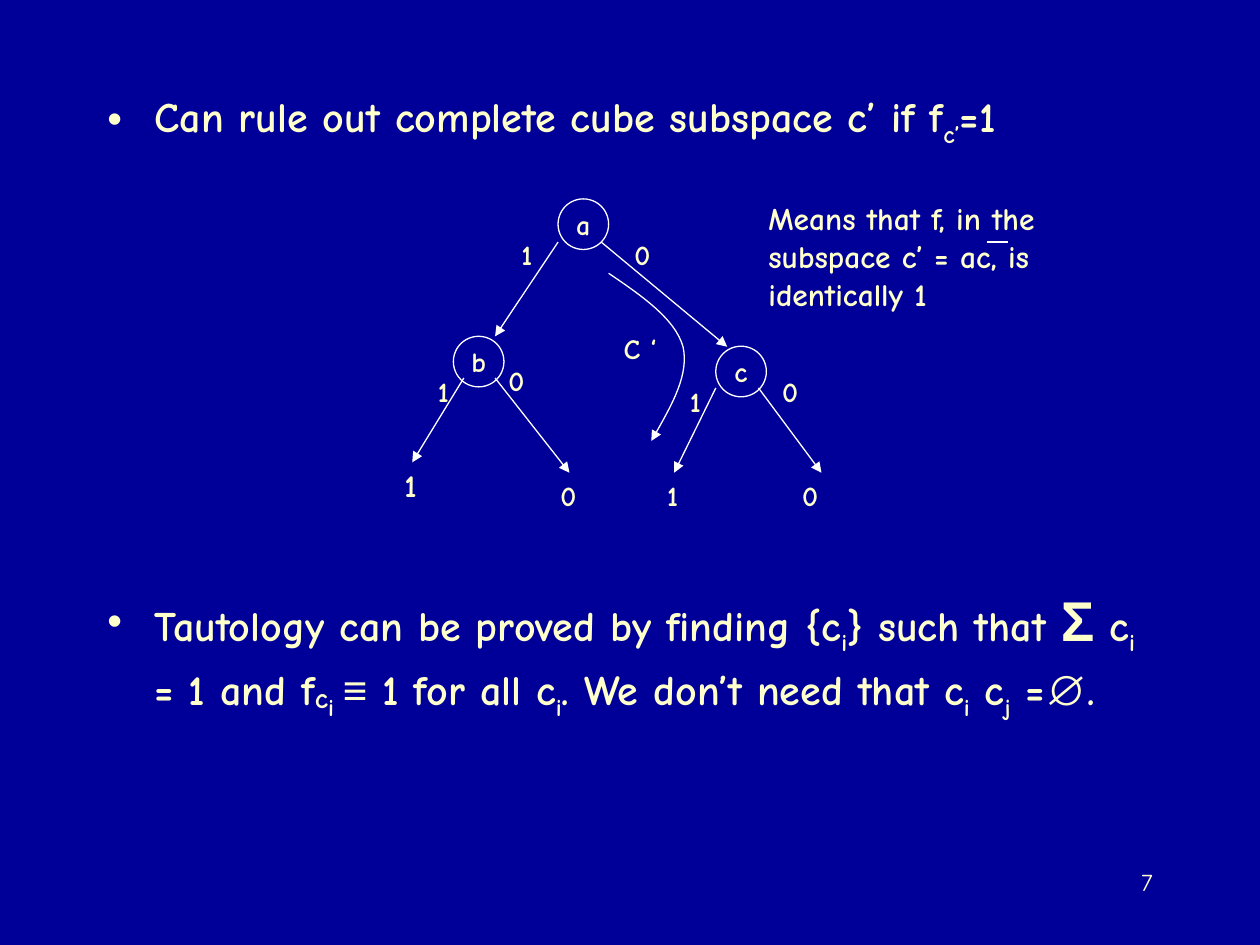
from dataclasses import dataclass

from lxml.etree import SubElement
from pptx import Presentation
from pptx.dml.color import RGBColor
from pptx.enum.shapes import MSO_CONNECTOR, MSO_SHAPE
from pptx.enum.text import MSO_ANCHOR, MSO_AUTO_SIZE, PP_ALIGN
from pptx.oxml.ns import qn
from pptx.util import Cm, Pt


@dataclass(frozen=True)
class Theme:
    background: RGBColor = RGBColor(0x00, 0x00, 0x99)
    text: RGBColor = RGBColor(0xFF, 0xFF, 0xCC)
    line: RGBColor = RGBColor(0xFF, 0xFF, 0xFF)
    font: str = "Comic Neue"
    symbol_font: str = "Arial"
    body_size: int = 24
    sum_size: int = 32
    index_size: int = 28
    note_size: int = 18
    label_size: int = 16
    number_size: int = 14
    line_width: float = 0.75


class SlideBuilder:
    def __init__(self, slide, theme):
        self.slide = slide
        self.theme = theme
        slide.background.fill.solid()
        slide.background.fill.fore_color.rgb = theme.background

    def run(self, paragraph, text, size, font=None, baseline=0, bold=True):
        run = paragraph.add_run()
        run.text = text
        run.font.name = font or self.theme.font
        run.font.size = Pt(size)
        run.font.bold = bold
        run.font.color.rgb = self.theme.text
        if baseline:
            run._r.get_or_add_rPr().set("baseline", str(baseline * 1000))

    def bullets(self, placeholder, box, items):
        """Fill the body with (space before, runs) items."""
        placeholder.left, placeholder.top, placeholder.width, placeholder.height = map(Cm, box)
        frame = placeholder.text_frame
        frame.auto_size = MSO_AUTO_SIZE.NONE
        for index, (space, runs) in enumerate(items):
            paragraph = frame.add_paragraph() if index else frame.paragraphs[0]
            paragraph.space_before = Pt(space)
            properties = paragraph._p.get_or_add_pPr()
            properties.set("marL", str(Cm(0.95)))
            properties.set("indent", str(-Cm(0.95)))
            for text, options in runs:
                self.run(paragraph, text, **{"size": self.theme.body_size, **options})

    def text(self, box, text, size, align=PP_ALIGN.LEFT, anchor=MSO_ANCHOR.MIDDLE, bold=True):
        shape = self.slide.shapes.add_textbox(*map(Cm, box))
        frame = shape.text_frame
        frame.word_wrap = True
        frame.vertical_anchor = anchor
        frame.paragraphs[0].alignment = align
        self.run(frame.paragraphs[0], text, size, bold=bold)
        return shape

    def label(self, x, y, text, size=None):
        """Place a short text centred on a point."""
        width, height = 1.2, 0.94
        shape = self.text((x - width / 2, y - height / 2, width, height), text,
                          size or self.theme.label_size, PP_ALIGN.CENTER)
        shape.text_frame.margin_left = shape.text_frame.margin_right = 0
        shape.text_frame.word_wrap = False

    def node(self, x, y, text, diameter=1.02):
        shape = self.slide.shapes.add_shape(
            MSO_SHAPE.OVAL, Cm(x - diameter / 2), Cm(y - diameter / 2), Cm(diameter), Cm(diameter))
        shape.fill.background()
        self.outline(shape)
        frame = shape.text_frame
        frame.margin_left = frame.margin_right = frame.margin_top = frame.margin_bottom = 0
        frame.word_wrap = False
        frame.vertical_anchor = MSO_ANCHOR.MIDDLE
        frame.paragraphs[0].alignment = PP_ALIGN.CENTER
        self.run(frame.paragraphs[0], text, self.theme.label_size)

    def line(self, start, end, arrow=True):
        connector = self.slide.shapes.add_connector(
            MSO_CONNECTOR.STRAIGHT, *map(Cm, (*start, *end)))
        self.outline(connector, arrow)

    def curve(self, start, points):
        """Draw an arrow of cubic curves, three points to each curve."""
        builder = self.slide.shapes.build_freeform(Cm(start[0]), Cm(start[1]))
        builder.add_line_segments([(Cm(x), Cm(y)) for x, y in points], close=False)
        shape = builder.convert_to_shape()
        shape.fill.background()
        self.outline(shape, arrow=True)
        outline = next(shape._element.iter(qn("a:pathLst")))[0]
        segments = outline.findall(qn("a:lnTo"))
        for first in range(0, len(segments), 3):
            cubic = SubElement(outline, qn("a:cubicBezTo"))
            for segment in segments[first:first + 3]:
                cubic.append(segment[0])
                outline.remove(segment)

    def outline(self, shape, arrow=False):
        shape.line.color.rgb = self.theme.line
        shape.line.width = Pt(self.theme.line_width)
        if arrow:
            SubElement(shape.line._get_or_add_ln(), qn("a:tailEnd"), type="triangle")
        SubElement(shape._element.spPr, qn("a:effectLst"))


def main():
    theme = Theme()
    presentation = Presentation()
    presentation.slide_width, presentation.slide_height = Cm(25.4), Cm(19.05)
    slide = presentation.slides.add_slide(presentation.slide_layouts[1])
    title = slide.shapes.title._element
    title.getparent().remove(title)
    builder = SlideBuilder(slide, theme)

    # Statements above and below the tree
    plain, lowered = {}, {"baseline": -25}
    symbol = {"font": theme.symbol_font}
    builder.bullets(slide.placeholders[1], (1.91, 1.7, 21.59, 15.24), [
        (6, [("Can rule out complete cube subspace c’ if f", plain),
             ("c’", lowered), ("=1", plain)]),
        (250, [("Tautology can be proved by finding {c", plain), ("i", lowered),
               ("} such that ", plain), ("Σ", {**symbol, "size": theme.sum_size}),
               (" c", plain), ("i", lowered), (" = 1 and f", plain),
               ("c", {"size": theme.index_size, "baseline": -5}), ("i ", lowered),
               ("≡", symbol), (" 1 for all c", plain), ("i", lowered),
               (". We don’t need that c", plain), ("i", lowered),
               (" c", plain), ("j", lowered), (" =", plain),
               ("∅", symbol), (".", plain)]),
    ])

    # Tree nodes
    for x, y, name in [(11.76, 4.52, "a"), (9.65, 7.29, "b"), (14.94, 7.49, "c")]:
        builder.node(x, y, name)

    # Branches: start, end, value, place of the value
    for start, end, value, place in [
        ((11.25, 4.88), (9.98, 6.78), "1", (10.62, 5.12)),
        ((12.12, 4.88), (14.66, 6.99), "0", (12.95, 5.12)),
        ((9.35, 7.62), (8.31, 9.32), "1", (8.94, 7.89)),
        ((9.98, 7.62), (11.48, 9.53), "0", (10.41, 7.66)),
        ((14.43, 7.82), (13.59, 9.53), "1", (14.02, 8.09)),
        ((15.29, 7.82), (16.56, 9.53), "0", (15.93, 7.89)),
    ]:
        builder.line(start, end)
        builder.label(*place, value)

    # Leaves
    builder.label(8.28, 9.78, "1", theme.note_size)
    for x, value in [(11.46, "0"), (13.56, "1"), (16.33, "0")]:
        builder.label(x, 9.99, value)

    # Path of the cube c'
    builder.curve((12.27, 5.51), [(12.95, 5.97), (13.61, 6.43), (13.77, 6.99),
                                  (13.89, 7.54), (13.51, 8.23), (13.13, 8.89)])
    builder.label(12.9, 7.02, "C ‘")

    # Note with the bar over c
    builder.text((15.24, 3.89, 7.42, 2.54),
                 "Means that f, in the subspace c’ = ac, is identically 1", theme.note_size)
    builder.line((19.89, 4.88), (20.32, 4.88), arrow=False)

    # Slide number
    builder.text((18.21, 17.35, 5.28, 1.27), "7", theme.number_size,
                 PP_ALIGN.RIGHT, MSO_ANCHOR.TOP, bold=False)

    presentation.save("out.pptx")


if __name__ == "__main__":
    main()
